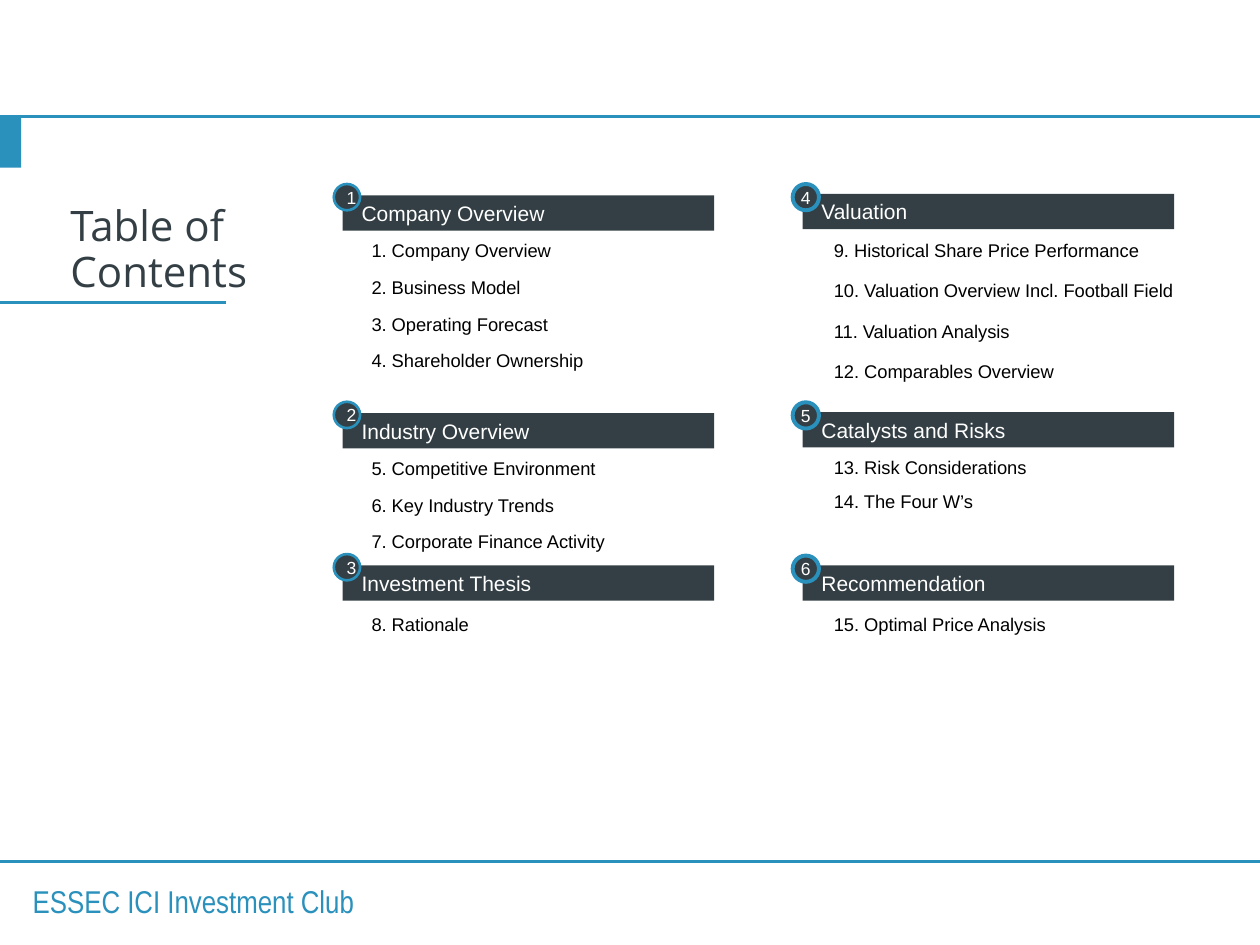
import pptx
import pptx.util
import pptx.dml.color
import pptx.enum.shapes
import pptx.enum.text
import pptx.oxml
from pptx.util import Cm, Pt

TITLE = "Table of Contents"
FOOTER = "ESSEC ICI Investment Club"

COLUMNS = [
    dict(bar_left=6.91, badge_left=6.73, badge_rise=0.23, item_left=7.24,
         ring=1.5, wrap=True, sections=[
             dict(name="Company Overview", top=3.94, first=4.70, step=0.74,
                  items=["Company Overview", "Business Model",
                         "Operating Forecast", "Shareholder Ownership"]),
             dict(name="Industry Overview", top=8.33, first=9.09, step=0.74,
                  items=["Competitive Environment", "Key Industry Trends",
                         "Corporate Finance Activity"]),
             dict(name="Investment Thesis", top=11.40, first=12.24, step=0.74,
                  items=["Rationale"]),
         ]),
    dict(bar_left=16.18, badge_left=15.98, badge_rise=0.20, item_left=16.56,
         ring=2.25, wrap=False, sections=[
             dict(name="Valuation", top=3.91, first=4.70, step=0.81,
                  items=["Historical Share Price Performance",
                         "Valuation Overview Incl. Football Field",
                         "Valuation Analysis", "Comparables Overview"]),
             dict(name="Catalysts and Risks", top=8.31, first=9.07, step=0.69,
                  items=["Risk Considerations", "The Four W’s"]),
             dict(name="Recommendation", top=11.40, first=12.24, step=0.74,
                  items=["Optimal Price Analysis"]),
         ]),
]

THEME = dict(
    blue="2A90BC", dark="333F44", white="FFFFFF", black="000000",
    body="Arial", heading="Open Sans", narrow="Arial Narrow",
    title=24, footer=18, section=12, item=10.5, badge=10,
)
SLIDE_W, SLIDE_H = 25.4, 19.05
BAR_W, BAR_H, BADGE, ITEM_W = 7.49, 0.71, 0.53, 7.95
INSETS = (0.18, 0.1, 0.18, 0.1)
SHAPE = pptx.enum.shapes.MSO_SHAPE
ALIGN = pptx.enum.text.PP_ALIGN
MIDDLE = pptx.enum.text.MSO_ANCHOR.MIDDLE


def color(name):
    return pptx.dml.color.RGBColor.from_string(THEME[name])


def write(sp, text, size, ink, face="body", align=ALIGN.LEFT,
          insets=None, anchor=None, wrap=True):
    tf = sp.text_frame
    tf.word_wrap = wrap
    tf.auto_size = pptx.enum.text.MSO_AUTO_SIZE.NONE
    if anchor is not None:
        tf.vertical_anchor = anchor
    if insets:
        tf.margin_left, tf.margin_top, tf.margin_right, tf.margin_bottom = map(Cm, insets)
    p = tf.paragraphs[0]
    p.text = text
    p.alignment = align
    p.font.name = THEME[face]
    p.font.size = Pt(THEME[size])
    p.font.color.rgb = color(ink)
    return p


def add_shape(s, kind, box, fill, ring=None):
    sp = s.shapes.add_shape(kind, *map(Cm, box))
    sp.shadow.inherit = False
    sp.fill.solid()
    sp.fill.fore_color.rgb = color(fill)
    if ring:
        sp.line.color.rgb = color("blue")
        sp.line.width = Pt(ring)
    else:
        sp.line.fill.background()
    return sp


def add_line(s, y, length, width):
    c = s.shapes.add_connector(pptx.enum.shapes.MSO_CONNECTOR.STRAIGHT,
                               Cm(0), Cm(y), Cm(length), Cm(y))
    c.line.color.rgb = color("blue")
    c.line.width = Pt(width)
    c._element.spPr.append(pptx.oxml.parse_xml(
        '<a:effectLst xmlns:a="http://schemas.openxmlformats.org/drawingml/2006/main"/>'))


def add_frame(s):
    sp = s.shapes.add_textbox(Cm(0.66), Cm(17.78), Cm(9.83), Cm(0.76))
    write(sp, FOOTER, "footer", "blue", "narrow", insets=(0, 0, 0, 0))
    add_line(s, 2.34, SLIDE_W, 1.75)
    add_shape(s, SHAPE.RECTANGLE, (0, 2.34, 0.43, 1.04), "blue")
    add_line(s, 17.36, SLIDE_W, 1.75)


def add_title(s):
    sp = s.shapes.title
    sp.left, sp.top, sp.width, sp.height = map(Cm, (1.24, 4.04, 6.83, 2.03))
    p = write(sp, TITLE, "title", "dark", "heading", insets=INSETS, anchor=MIDDLE)
    p.line_spacing = 0.9
    add_line(s, 6.1, 4.55, 1.5)


def add_section(s, col, section, number, first_item):
    top = section["top"]
    bar = add_shape(s, SHAPE.RECTANGLE, (col["bar_left"], top, BAR_W, BAR_H), "dark")
    write(bar, section["name"], "section", "white",
          insets=(0.38, 0.1, 0.18, 0.1), anchor=MIDDLE)
    badge = add_shape(s, SHAPE.OVAL,
                      (col["badge_left"], top - col["badge_rise"], BADGE, BADGE),
                      "dark", col["ring"])
    write(badge, str(number), "badge", "white", align=ALIGN.CENTER,
          insets=INSETS, anchor=MIDDLE, wrap=col["wrap"])
    for i, item in enumerate(section["items"]):
        y = section["first"] + i * section["step"]
        sp = s.shapes.add_textbox(Cm(col["item_left"]), Cm(y), Cm(ITEM_W), Cm(BAR_H))
        write(sp, f"{first_item + i}. {item}", "item", "black")


def main():
    prs = pptx.Presentation()
    prs.slide_width, prs.slide_height = Cm(SLIDE_W), Cm(SLIDE_H)
    s = prs.slides.add_slide(prs.slide_layouts.get_by_name("Title Only"))
    add_frame(s)
    add_title(s)
    number = item = 1
    for col in COLUMNS:
        for section in col["sections"]:
            add_section(s, col, section, number, item)
            number += 1
            item += len(section["items"])
    prs.save("out.pptx")


if __name__ == "__main__":
    main()
